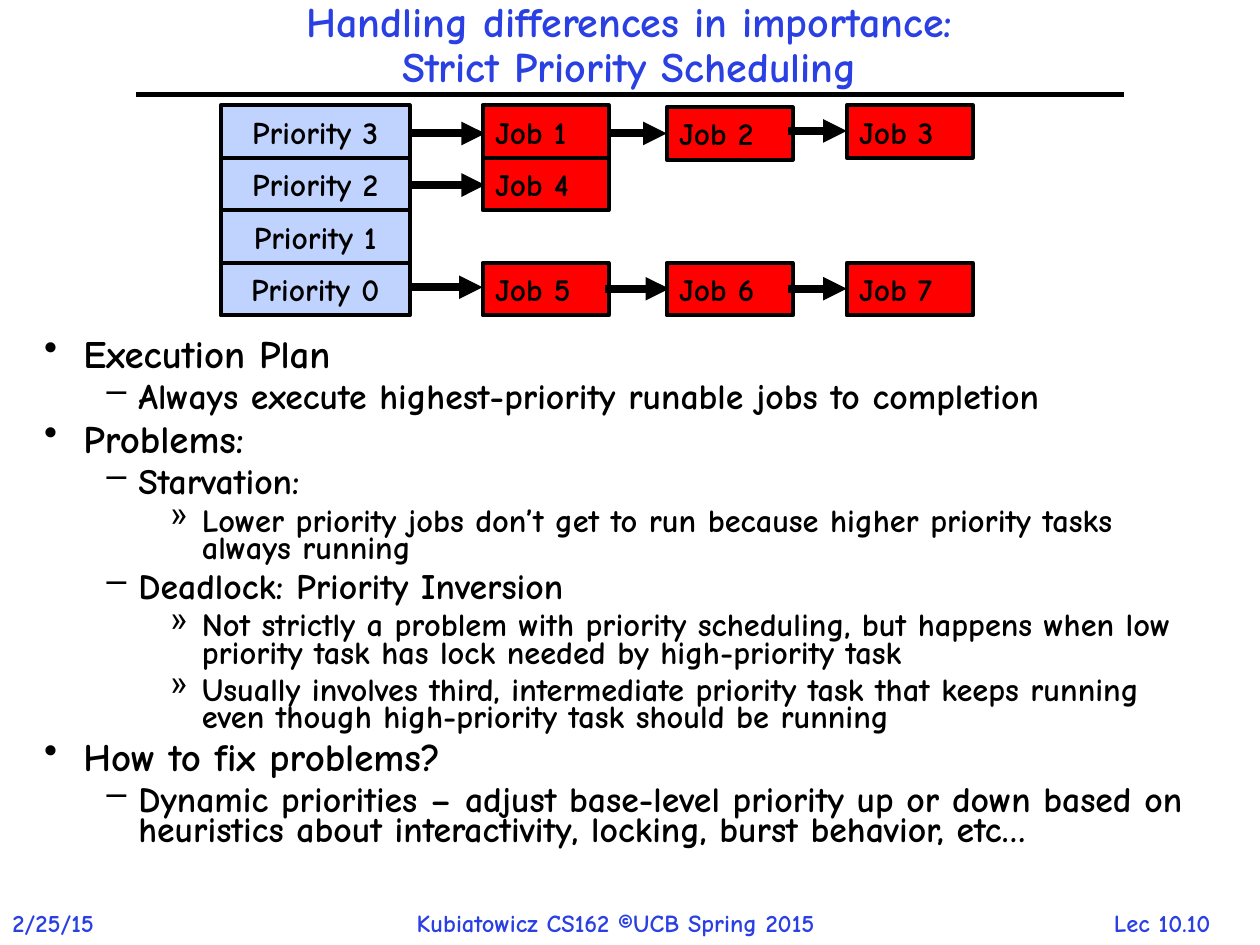
from lxml import etree
from pptx import Presentation
from pptx.dml.color import RGBColor
from pptx.enum.shapes import MSO_CONNECTOR, MSO_SHAPE
from pptx.enum.text import MSO_ANCHOR, PP_ALIGN
from pptx.oxml.ns import qn
from pptx.util import Cm, Pt

RECT, STRAIGHT = MSO_SHAPE.RECTANGLE, MSO_CONNECTOR.STRAIGHT
LEFT, CENTER = PP_ALIGN.LEFT, PP_ALIGN.CENTER
TOP, MIDDLE = MSO_ANCHOR.TOP, MSO_ANCHOR.MIDDLE

FONT = "Comic Neue"
BLUE = RGBColor(0x2A, 0x40, 0xE2)
PALE_BLUE = RGBColor(0xC0, 0xD2, 0xFE)
RED = RGBColor(0xFF, 0x00, 0x00)
BLACK = RGBColor(0x00, 0x00, 0x00)

# Queue diagram, in cm
ROW_TOP, ROW_H = 2.12, 1.06
QUEUE_X, QUEUE_W = 4.45, 3.81
JOB_X, JOB_W = (9.73, 13.44, 17.07), 2.54
PRIORITIES = ("Priority 3", "Priority 2", "Priority 1", "Priority 0")
JOBS = (  # label, column, row, drop
    ("Job 1", 0, 0, 0), ("Job 2", 1, 0, 0.04), ("Job 3", 2, 0, 0),
    ("Job 4", 0, 1, 0),
    ("Job 5", 0, 3, 0), ("Job 6", 1, 3, 0), ("Job 7", 2, 3, 0),
)
ARROWS = (  # from x, to x, y
    (8.26, 9.78, 2.69), (12.24, 13.44, 2.69), (15.88, 17.07, 2.64),
    (8.26, 9.78, 3.73),
    (8.23, 9.73, 5.79), (12.19, 13.49, 5.82), (15.88, 17.07, 5.82),
)

# Per outline level: bullet, size in pt, left margin and hanging indent in cm
LEVELS = (("•", 22.2, 0.79, 0.79), ("–", 20.4, 1.9, 0.64), ("»", 18.5, 3.18, 0.64))
OUTLINE = (
    (0, "Execution Plan"),
    (1, "Always execute highest-priority runable jobs to completion"),
    (0, "Problems:"),
    (1, "Starvation:"),
    (2, "Lower priority jobs don’t get to run because higher priority tasks "
        "always running"),
    (1, "Deadlock: Priority Inversion"),
    (2, "Not strictly a problem with priority scheduling, but happens when low "
        "priority task has lock needed by high-priority task"),
    (2, "Usually involves third, intermediate priority task that keeps running "
        "even though high-priority task should be running"),
    (0, "How to fix problems?"),
    (1, "Dynamic priorities – adjust base-level priority up or down based on "
        "heuristics about interactivity, locking, burst behavior, etc…"),
)


def write(p, text, size=18, color=BLACK, align=LEFT, spacing=None):
    """Fill a paragraph; a newline in the text becomes a line break."""
    p.alignment = align
    if spacing:
        p.line_spacing = spacing
    for i, line in enumerate(text.split("\n")):
        if i:
            p.add_line_break()
        r = p.add_run()
        r.text = line
        r.font.name, r.font.size, r.font.bold = FONT, Pt(size), True
        r.font.color.rgb = color


def add_text_box(s, x, y, w, h, wrap=True, anchor=TOP):
    tf = s.shapes.add_textbox(Cm(x), Cm(y), Cm(w), Cm(h)).text_frame
    tf.word_wrap, tf.vertical_anchor = wrap, anchor
    return tf


def add_box(s, text, x, y, w, fill, align):
    sp = s.shapes.add_shape(RECT, Cm(x), Cm(y), Cm(w), Cm(ROW_H))
    sp.shadow.inherit = False
    sp.fill.solid()
    sp.fill.fore_color.rgb = fill
    sp.line.color.rgb, sp.line.width = BLACK, Pt(2.25)
    sp.text_frame.vertical_anchor = MIDDLE
    write(sp.text_frame.paragraphs[0], text, align=align)


def add_line(s, x1, x2, y, width, arrow=False):
    c = s.shapes.add_connector(STRAIGHT, Cm(x1), Cm(y), Cm(x2), Cm(y))
    c.line.color.rgb, c.line.width = BLACK, Pt(width)
    if arrow:
        ln = c.line._get_or_add_ln()
        etree.SubElement(ln, qn("a:tailEnd"), type="triangle")
    etree.SubElement(c._element.spPr, qn("a:effectLst"))


def add_outline(s):
    tf = add_text_box(s, 0.64, 6.78, 23.7, 11.63)
    for i, (level, text) in enumerate(OUTLINE):
        bullet, size, margin, hang = LEVELS[level]
        p = tf.add_paragraph() if i else tf.paragraphs[0]
        p.level = level
        p.space_before = Pt(round(size * 0.3, 1))
        write(p, text, size=size, spacing=0.7)
        pPr = p._p.get_or_add_pPr()
        pPr.set("marL", str(Cm(margin)))
        pPr.set("indent", str(-Cm(hang)))
        etree.SubElement(pPr, qn("a:buChar"), char=bullet)


def add_queues(s):
    for row, label in enumerate(PRIORITIES):
        add_box(s, label, QUEUE_X, ROW_TOP + row * ROW_H, QUEUE_W, PALE_BLUE, CENTER)
    for label, col, row, drop in JOBS:
        add_box(s, label, JOB_X[col], ROW_TOP + row * ROW_H + drop, JOB_W, RED, LEFT)
    for x1, x2, y in ARROWS:
        add_line(s, x1, x2, y, 4.5, arrow=True)


def add_footer(s):
    for text, x, w, align in (
        ("2/25/15", 0, 2.54, LEFT),
        ("Kubiatowicz CS162 ©UCB Spring 2015", 8.15, 9.83, LEFT),
        ("Lec 10.10", 21.74, 3.38, CENTER),
    ):
        tf = add_text_box(s, x, 18.19, w, 0.86, wrap=False)
        write(tf.paragraphs[0], text, size=14, color=BLUE, align=align)


def main():
    prs = Presentation()
    prs.slide_width, prs.slide_height = Cm(25.4), Cm(19.05)
    s = prs.slides.add_slide(prs.slide_layouts[6])

    # Title and rule
    tf = add_text_box(s, 2.74, 0.2, 19.9, 1.47, anchor=MIDDLE)
    write(tf.paragraphs[0],
          "Handling differences in importance:\nStrict Priority Scheduling",
          size=24, color=BLUE, align=CENTER, spacing=0.9)
    add_line(s, 2.74, 22.66, 1.9, 3)

    # Content
    add_queues(s)
    add_outline(s)
    add_footer(s)
    prs.save("out.pptx")


if __name__ == "__main__":
    main()
